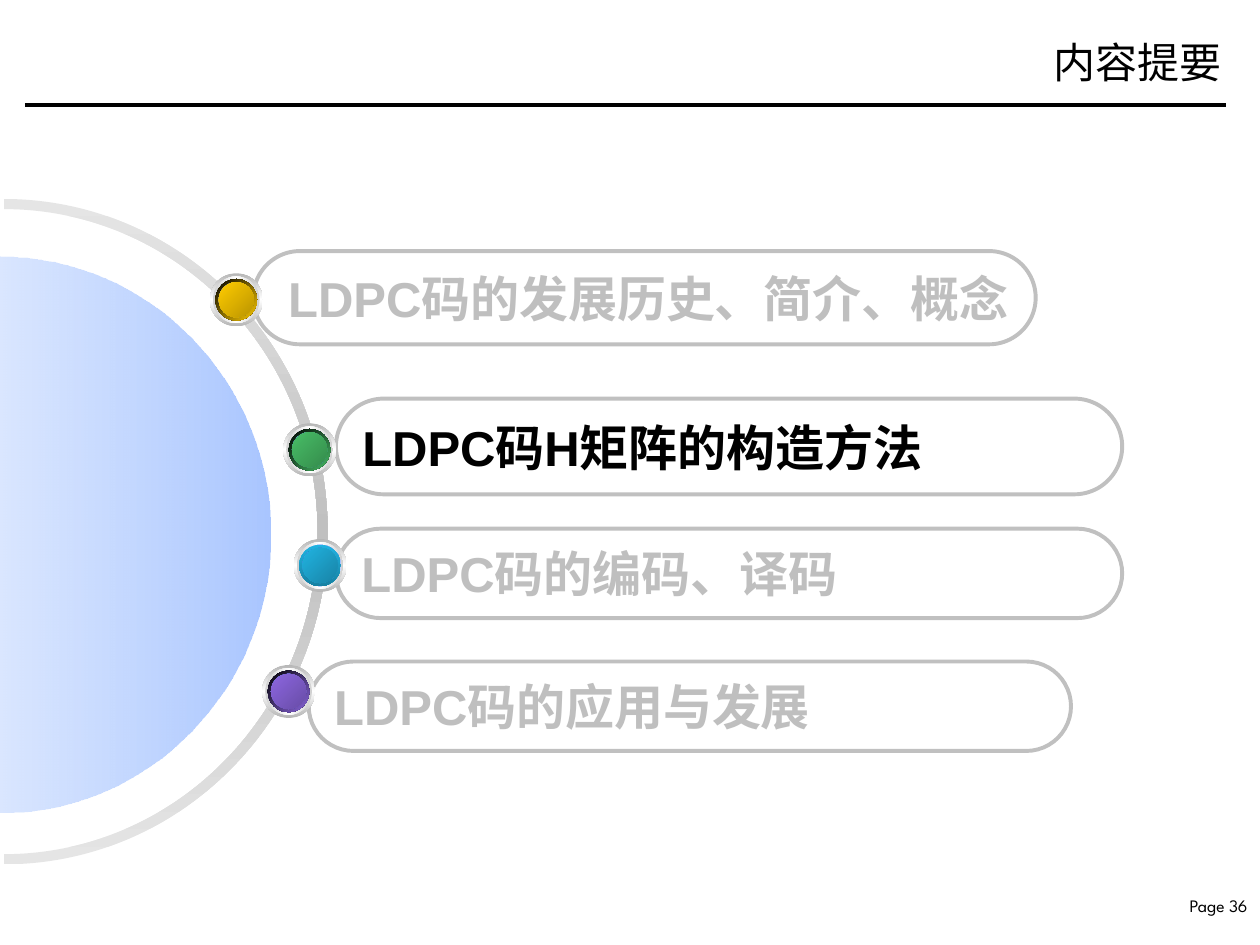
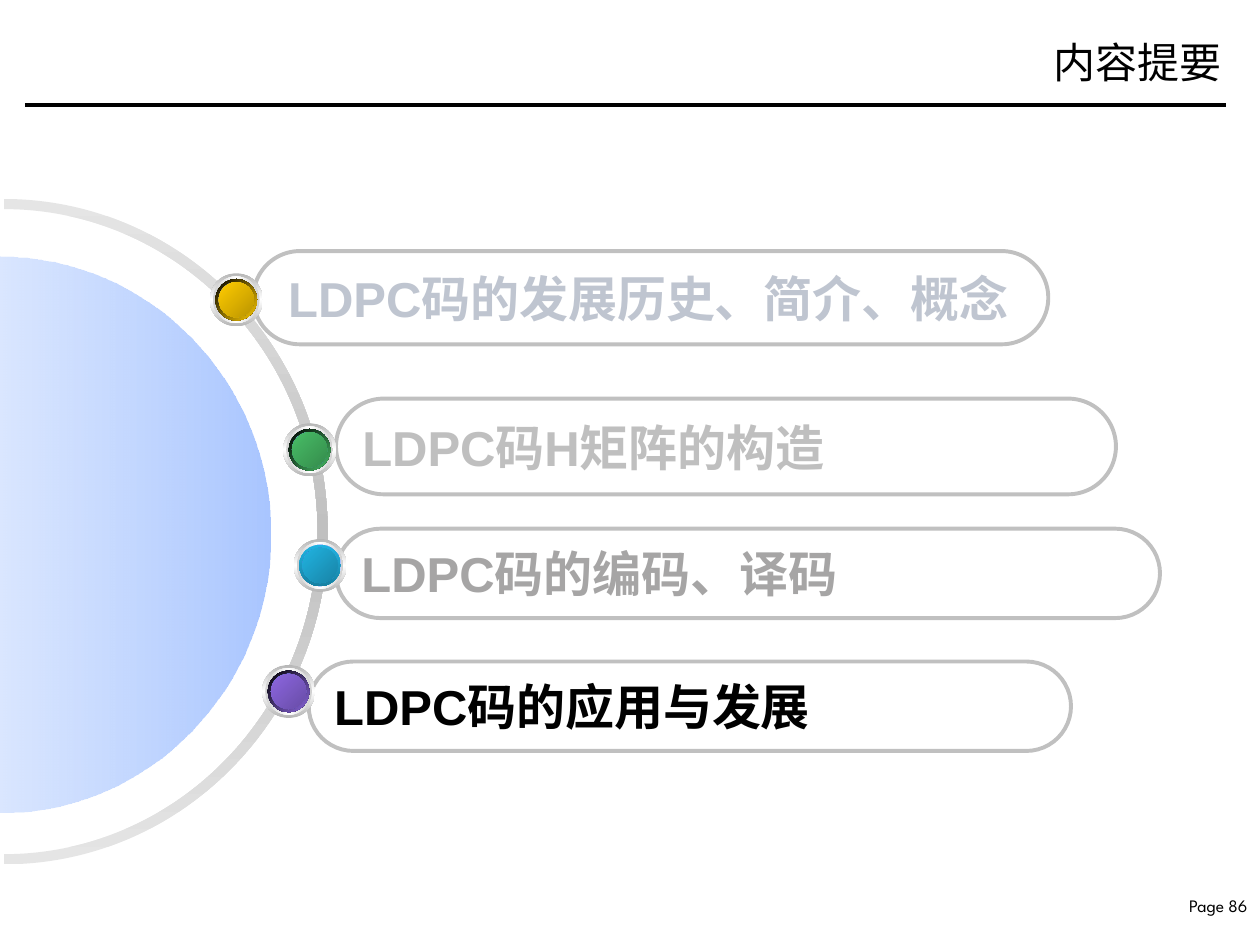
from lxml.etree import SubElement
from pptx import Presentation
from pptx.dml.color import RGBColor
from pptx.enum.lang import MSO_LANGUAGE_ID
from pptx.enum.shapes import MSO_CONNECTOR, MSO_SHAPE
from pptx.enum.text import MSO_ANCHOR, PP_ALIGN
from pptx.oxml.ns import qn
from pptx.util import Pt

BLACK = RGBColor(0x00, 0x00, 0x00)
WHITE = RGBColor(0xFF, 0xFF, 0xFF)
OUTLINE = RGBColor(0xC0, 0xC0, 0xC0)
FADED = RGBColor(0xBF, 0xBF, 0xBF)
FADED_BLUE = RGBColor(0xBF, 0xC5, 0xD0)
FADED_DARK = RGBColor(0xA6, 0xA5, 0xA5)
RING_END = RGBColor(0xE5, 0xE5, 0xE5)
BLUE = RGBColor(0x66, 0x99, 0xFF)
GOLD = RGBColor(0xFF, 0xCC, 0x00)
GREEN = RGBColor(0x48, 0xBE, 0x67)
CYAN = RGBColor(0x21, 0xB3, 0xE1)
PURPLE = RGBColor(0x8D, 0x67, 0xE1)

KNOB_SIZE = 30.24
CURVE = 0.5523  # control point distance of a quarter ellipse
ARC_POINTS = 7

# A gradient stop is a colour, a transform ("shade" or "alpha") and its percentage
RIM = (WHITE, "shade", 46.27)
INNER_RIM = (WHITE, "shade", 63.53)
DARK_BLUE = (BLUE, "shade", 54.51)
PLAIN_WHITE, PLAIN_BLUE = (WHITE, None, 0), (BLUE, None, 0)

# Frame left, top, width, height; arc centre and radii; gradient angle and stops
BACKDROP = [
    ((-190.8, 115.9, 380.2, 375.8), (-0.7, 300.9), [(190.1, 185), (184.3, 179.3)],
     0, [(RING_END, None, 0), (OUTLINE, None, 0), (RING_END, None, 0)]),
    ((-159.1, 150.5, 317.5, 309.6), (-0.35, 305), [(158.75, 154.5)],
     90, [(BLUE, "alpha", 56), (WHITE, "alpha", 48)]),
]
# Pill left, top, height and text indent, from the first topic down
PILLS = [
    (144.7, 143.5, 53.3, 12.2),
    (192, 227.8, 54.7, 7.2),
    (192, 302.1, 51.1, 7.2),
    (176.4, 378, 51.1, 7.2),
]
# Knob left, top, edge angle, edge stops, face colour and shade
KNOBS = [
    (119.9, 156.2, 45, [(BLACK, None, 0), (GOLD, None, 0)], GOLD, 49.02),
    (161.8, 241.9, 45, [(BLACK, None, 0), (GREEN, None, 0)], GREEN, 50.2),
    (167.8, 308, 90, [(CYAN, None, 0), (CYAN, "shade", 47.45)], CYAN, 49.8),
    (149.8, 380, 45, [(BLACK, None, 0), (PURPLE, None, 0)], PURPLE, 49.8),
]
# Page label, then text, pill width and text colour of each topic
PAGES = [
    ("Page 36", [
        ("LDPC码的发展历史、简介、概念", 447.1, FADED),
        ("LDPC码H矩阵的构造方法", 449.3, BLACK),
        ("LDPC码的编码、译码", 449.3, FADED),
        ("LDPC码的应用与发展", 435.6, FADED),
    ]),
    ("Page 86", [
        ("LDPC码的发展历史、简介、概念", 454.3, FADED_BLUE),
        ("LDPC码H矩阵的构造", 445.7, FADED),
        ("LDPC码的编码、译码", 470.9, FADED_DARK),
        ("LDPC码的应用与发展", 435.6, BLACK),
    ]),
]


def paint(shape, angle, stops):
    """Fill with evenly spaced gradient stops, clockwise angle, no outline."""
    shape.shadow.inherit = False
    shape.line.fill.background()
    shape.fill.gradient()
    gradient = shape._element.spPr.find(qn("a:gradFill"))
    gradient.find(qn("a:lin")).set("ang", str(angle * 60000))
    stop_list = gradient.find(qn("a:gsLst"))
    for old_stop in list(stop_list):
        stop_list.remove(old_stop)
    for index, (color, transform, percent) in enumerate(stops):
        position = 100000 * index // (len(stops) - 1)
        stop = SubElement(stop_list, qn("a:gs"), pos=str(position))
        tint = SubElement(stop, qn("a:srgbClr"), val=str(color))
        if transform:
            SubElement(tint, qn(f"a:{transform}"), val=str(round(percent * 1000)))


def add_arch(page, frame, centre, radii):
    """Draw nested half ellipses as Bezier curves, turned to open leftwards."""
    points = []
    for number, (across, up) in enumerate(radii):
        arc = [(-1, 0), (-1, CURVE), (-CURVE, 1), (0, 1), (CURVE, 1), (1, CURVE), (1, 0)]
        if number % 2:
            arc.reverse()
        points += [(Pt(centre[0] + across * x), Pt(centre[1] - up * y)) for x, y in arc]
    builder = page.shapes.build_freeform(*points[0])
    builder.add_line_segments(points[1:], close=True)
    arch = builder.convert_to_shape()

    path = arch._element.spPr.find(".//" + qn("a:path"))
    steps = list(path)
    for start in range(0, len(points), ARC_POINTS):
        for first in (start + 1, start + 4):
            curve = SubElement(path, qn("a:cubicBezTo"))
            steps[first].addprevious(curve)
            for step in steps[first:first + 3]:
                curve.append(step[0])
                path.remove(step)
    path.set("w", str(Pt(frame[2])))
    path.set("h", str(Pt(frame[3])))
    arch.left, arch.top, arch.width, arch.height = [Pt(length) for length in frame]
    arch.rotation = 90
    return arch


deck = Presentation()
deck.slide_width, deck.slide_height = Pt(720), Pt(540)

for page_label, topics in PAGES:
    page = deck.slides.add_slide(deck.slide_layouts[5])

    rule = page.shapes.add_connector(
        MSO_CONNECTOR.STRAIGHT, Pt(14.2), Pt(60.1), Pt(700.4), Pt(60.1))
    rule.line.color.rgb = BLACK
    rule.line.width = Pt(2)
    SubElement(rule._element.spPr, qn("a:effectLst"))

    title = page.shapes.title
    title.left, title.top, title.width, title.height = Pt(523.8), Pt(8.4), Pt(181.4), Pt(54)
    title.text_frame.text = "内容提要"
    title.text_frame.vertical_anchor = MSO_ANCHOR.MIDDLE

    footer = page.shapes.add_textbox(Pt(662.4), Pt(507.8), Pt(57.6), Pt(18.7))
    footer.text_frame.text = page_label
    footer.text_frame.word_wrap = False

    for box, size, font_name in ((title, 24, "Times New Roman"), (footer, 10, "League Spartan")):
        para = box.text_frame.paragraphs[0]
        para.alignment = PP_ALIGN.RIGHT
        span = para.runs[0]
        span.font.size = Pt(size)
        span.font.name = font_name
        span.font.color.rgb = BLACK
        span.font.language_id = MSO_LANGUAGE_ID.SIMPLIFIED_CHINESE

    for frame, centre, radii, angle, stops in BACKDROP:
        paint(add_arch(page, frame, centre, radii), angle, stops)

    rows = list(zip(PILLS, topics))
    for (left, top, height, indent), (text, width, color) in reversed(rows):
        pill = page.shapes.add_shape(
            MSO_SHAPE.ROUNDED_RECTANGLE, Pt(left), Pt(top), Pt(width), Pt(height))
        pill.adjustments[0] = 0.5
        pill.shadow.inherit = False
        pill.fill.background()
        pill.line.color.rgb = OUTLINE
        pill.line.width = Pt(2.25)
        text_frame = pill.text_frame
        text_frame.text = text
        text_frame.word_wrap = False
        text_frame.vertical_anchor = MSO_ANCHOR.MIDDLE
        text_frame.margin_left, text_frame.margin_right = Pt(indent), 0
        para = text_frame.paragraphs[0]
        para.alignment = PP_ALIGN.LEFT
        span = para.runs[0]
        span.font.size = Pt(28)
        span.font.bold = True
        span.font.name = "Arial"
        span.font.color.rgb = color
        span.font.language_id = MSO_LANGUAGE_ID.SIMPLIFIED_CHINESE

    for left, top, edge_angle, edge_stops, face, shade in KNOBS:
        knob = page.shapes.add_group_shape()
        layers = [
            (0, 90, [RIM, PLAIN_WHITE, RIM]),
            (1.8, 0, [INNER_RIM, PLAIN_WHITE, INNER_RIM]),
            (3.24, 45, [PLAIN_WHITE, PLAIN_BLUE, PLAIN_WHITE]),
            (3.24, edge_angle, edge_stops),
            (5.04, 315, [DARK_BLUE, PLAIN_BLUE, DARK_BLUE]),
            (5.04, 45, [(face, None, 0), (face, "shade", shade)]),
        ]
        for inset, angle, stops in layers:
            size = Pt(KNOB_SIZE - 2 * inset)
            layer = knob.shapes.add_shape(
                MSO_SHAPE.OVAL, Pt(left + inset), Pt(top + inset), size, size)
            paint(layer, angle, stops)

deck.save("out.pptx")
